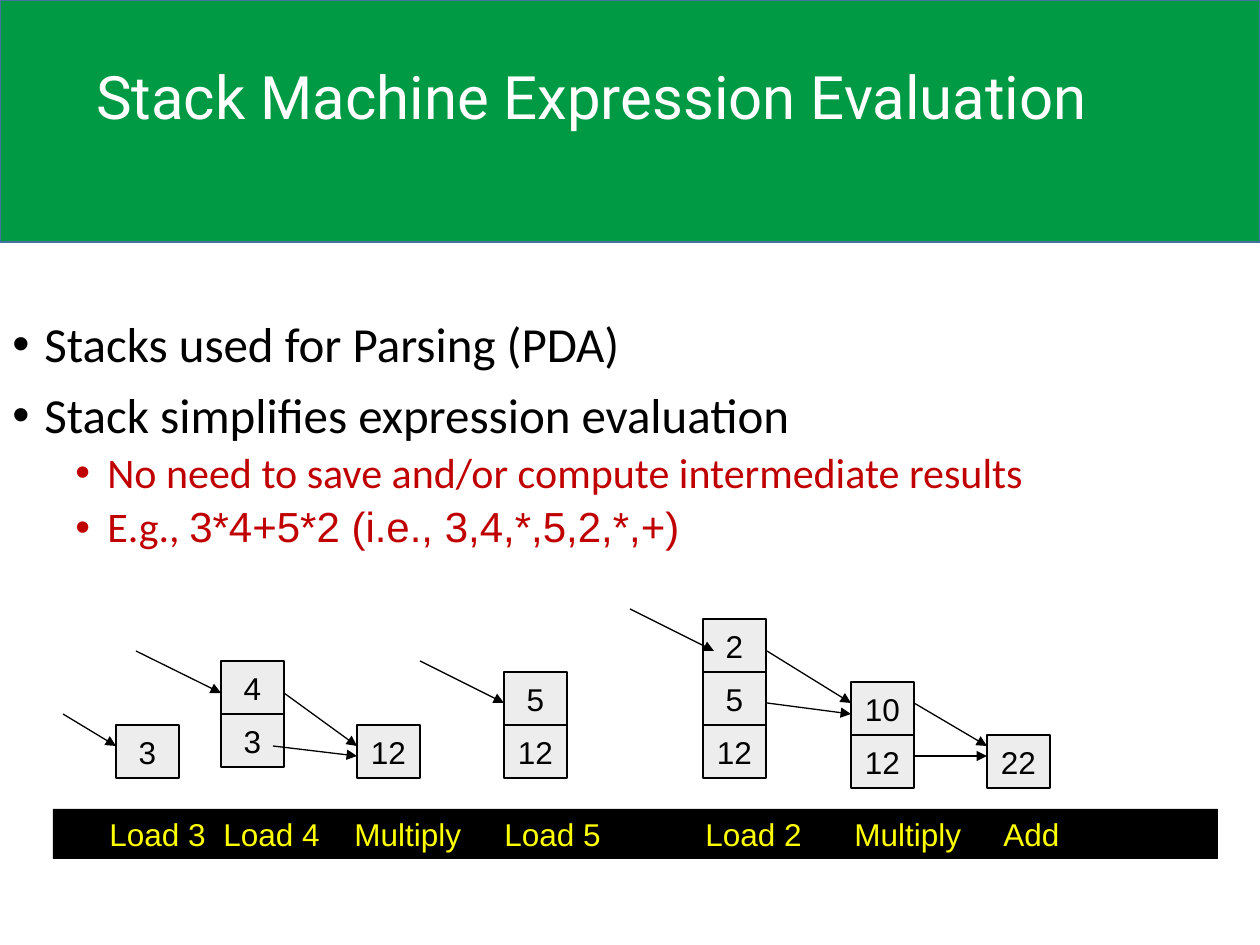
from lxml import etree
from pptx import Presentation
from pptx.dml.color import RGBColor
from pptx.enum.shapes import MSO_CONNECTOR, MSO_SHAPE
from pptx.enum.text import MSO_ANCHOR, PP_ALIGN
from pptx.oxml.ns import qn
from pptx.util import Emu, Pt

COLORS = {
    "green": "009A44", "blue": "43739E", "white": "FFFFFF", "black": "000000",
    "red": "C00000", "cell": "EDEDED", "yellow": "FFFF00",
}


def px(length):
    return Emu(round(length * 914400 / 126))


def add_text(frame, runs, size, color, level=None, align=PP_ALIGN.LEFT,
             spacing=None, before=0, tabs=(), new=False):
    """Write one paragraph of (text, font) runs; a level makes it a bullet."""
    para = frame.add_paragraph() if new else frame.paragraphs[0]
    properties = para._p.get_or_add_pPr()
    if level is not None:
        para.level = level
        properties.set("marL", str(px(32 + 63 * level)))
        properties.set("indent", str(px(-32)))
        etree.SubElement(properties, qn("a:buFont"), typeface="Arial")
        etree.SubElement(properties, qn("a:buChar"), char="•")
    if tabs:
        tab_list = etree.SubElement(properties, qn("a:tabLst"))
        for stop in tabs:
            etree.SubElement(tab_list, qn("a:tab"), pos=str(px(stop)), algn="l")
    para.alignment = align
    para.line_spacing = spacing
    para.space_before = Pt(before)
    for text, font in runs:
        span = para.add_run()
        span.text = text
        span.font.name = font
        span.font.size = Pt(size)
        span.font.color.rgb = RGBColor.from_string(COLORS[color])


deck = Presentation()
deck.slide_width, deck.slide_height = px(1260), px(945)
page = deck.slides.add_slide(deck.slide_layouts[6])

# Header band and command bar
bars = []
for left, top, width, height, fill, line in [
    (0, 0, 1260, 242, "green", "blue"),
    (53, 809, 1165, 50, "black", None),
]:
    bar = page.shapes.add_shape(MSO_SHAPE.RECTANGLE, px(left), px(top), px(width), px(height))
    bar.shadow.inherit = False
    bar.fill.solid()
    bar.fill.fore_color.rgb = RGBColor.from_string(COLORS[fill])
    if line:
        bar.line.color.rgb = RGBColor.from_string(COLORS[line])
        bar.line.width = Pt(1)
    else:
        bar.line.fill.background()
    bars.append(bar)

# Commands, each at its own tab stop
commands = ["Load 3", "Load 4", "Multiply", "Load 5", "Load 2", "Multiply", "Add"]
add_text(bars[1].text_frame, [("\t" + "\t".join(commands), "Arial")], 18, "yellow",
         tabs=[44, 158, 289, 439, 640, 789, 938])

# Title
title = page.shapes.add_textbox(px(84), px(32), px(1124), px(136)).text_frame
title.word_wrap = True
title.vertical_anchor = MSO_ANCHOR.MIDDLE
add_text(title, [("Stack Machine Expression Evaluation", "Roboto")], 34.2, "white", spacing=0.9)

# Bullets
body = page.shapes.add_textbox(px(0), px(314), px(1166), px(274)).text_frame
body.word_wrap = True
bullets = [
    (0, [("Stacks used for Parsing (PDA)", "Calibri")]),
    (0, [("Stack simplifies expression evaluation", "Calibri")]),
    (1, [("No need to save and/or compute intermediate results", "Calibri")]),
    (1, [("E.g., ", "Calibri"), ("3*4+5*2 (i.e., 3,4,*,5,2,*,+)", "Arial")]),
]
for index, (level, runs) in enumerate(bullets):
    size, color, before = [(28, "black", 10), (24, "red", 5)][level]
    add_text(body, runs, size, color, level=level, spacing=0.9,
             before=before if index else 0, new=index > 0)

# Stacks: left, top, values from the top down
CELL_WIDTH, CELL_HEIGHT = 63, 53
stacks = [
    (116, 725, [3]), (221, 661, [4, 3]), (357, 725, [12]), (504, 672, [5, 12]),
    (703, 619, [2, 5, 12]), (851, 682, [10, 12]), (987, 735, [22]),
]
for left, top, values in stacks:
    for row, value in enumerate(values):
        cell = page.shapes.add_shape(MSO_SHAPE.RECTANGLE, px(left), px(top + row * CELL_HEIGHT),
                                     px(CELL_WIDTH), px(CELL_HEIGHT))
        cell.shadow.inherit = False
        cell.fill.solid()
        cell.fill.fore_color.rgb = RGBColor.from_string(COLORS["cell"])
        cell.line.color.rgb = RGBColor.from_string(COLORS["black"])
        cell.line.width = Pt(0.75)
        cell.text_frame.word_wrap = False
        cell.text_frame.vertical_anchor = MSO_ANCHOR.MIDDLE
        add_text(cell.text_frame, [(str(value), "Arial")], 18, "black", align=PP_ALIGN.CENTER)

# Arrows for pushes and operands
arrows = [
    (63, 714, 116, 746), (136, 651, 221, 693), (273, 746, 357, 756),
    (284, 693, 357, 746), (420, 661, 504, 703), (630, 609, 714, 651),
    (767, 703, 851, 714), (767, 651, 851, 703), (914, 703, 987, 746),
    (914, 756, 987, 756),
]
for points in arrows:
    arrow = page.shapes.add_connector(MSO_CONNECTOR.STRAIGHT, *map(px, points))
    arrow.line.color.rgb = RGBColor.from_string(COLORS["black"])
    arrow.line.width = Pt(0.75)
    etree.SubElement(arrow.line._get_or_add_ln(), qn("a:tailEnd"), type="triangle")
    etree.SubElement(arrow._element.spPr, qn("a:effectLst"))

deck.save("out.pptx")
